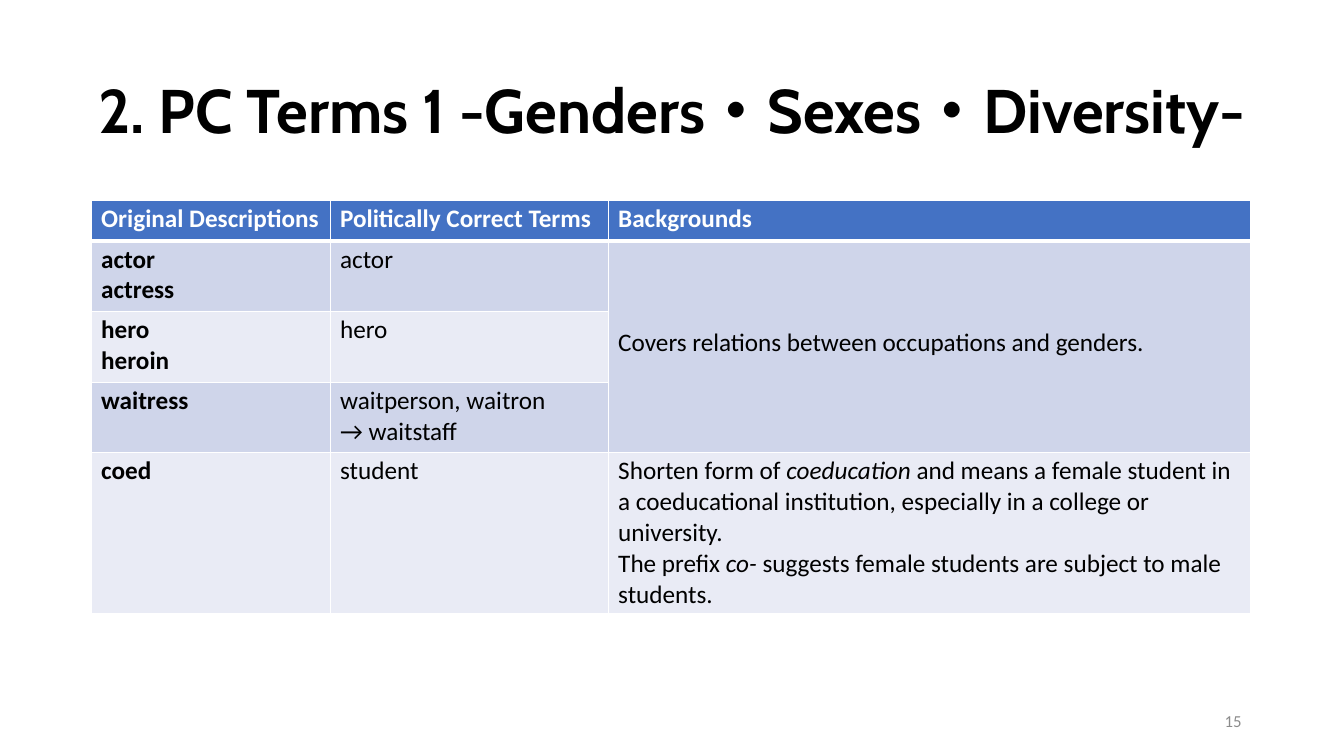
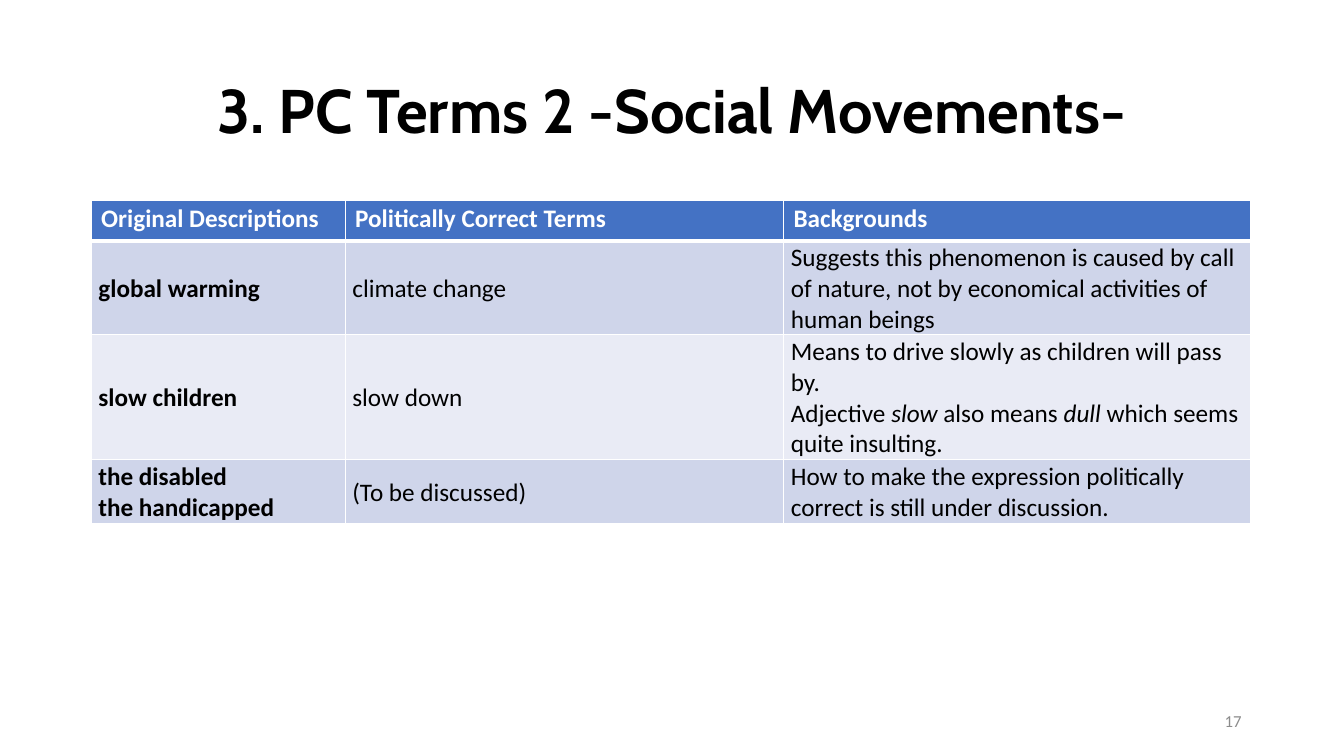
from lxml import etree
from pptx import Presentation
from pptx.dml.color import RGBColor
from pptx.enum.text import MSO_ANCHOR, PP_ALIGN
from pptx.oxml.ns import qn
from pptx.util import Cm, Pt

TOP, MIDDLE = MSO_ANCHOR.TOP, MSO_ANCHOR.MIDDLE
CENTER, LEFT, RIGHT = PP_ALIGN.CENTER, PP_ALIGN.LEFT, PP_ALIGN.RIGHT

COLORS = {
    "title": "000000",
    "number": "8C8C8C",
    "header": "4472C4",
    "header_text": "FFFFFF",
    "text": "000000",
    "band_dark": "CFD5EA",
    "band_light": "E9EBF5",
    "border": "FFFFFF",
}
TITLE_FONT, BODY_FONT = "Cabin", "Calibri"
TABLE_LEFT, TABLE_TOP = 2.3, 5.05
HEADER_HEIGHT = 1.02
HEADERS = ["Original Descriptions", "Politically Correct Terms", "Backgrounds"]

SLIDES = [
    {
        "title": "2. PC Terms 1 -Genders・Sexes・Diversity-",
        "number": "15",
        "widths": [6.02, 7.01, 16.18],
        "heights": [1.78, 1.78, 1.78, 4.06],
        "anchor": TOP,
        "margins": (0.25, 0.08),
        "rows": [
            ["actor\nactress", "actor", "Covers relations between occupations and genders."],
            ["hero\nheroin", "hero", None],
            ["waitress", "waitperson, waitron\n→ waitstaff", None],
            ["coed", "student",
             "Shorten form of *coeducation* and means a female student in a coeducational "
             "institution, especially in a college or university.\n"
             "The prefix *co-* suggests female students are subject to male students."],
        ],
    },
    {
        "title": "3. PC Terms 2 -Social Movements-",
        "number": "17",
        "widths": [6.4, 11.05, 11.76],
        "heights": [2.36, 3.15, 1.62],
        "anchor": MIDDLE,
        "margins": (0.18, 0.05),
        "rows": [
            ["global warming", "climate change",
             "Suggests this phenomenon is caused by call of nature, not by economical "
             "activities of human beings"],
            ["slow children", "slow down",
             "Means to drive slowly as children will pass by.\n"
             "Adjective *slow* also means *dull* which seems quite insulting."],
            ["the disabled\nthe handicapped", "(To be discussed)",
             "How to make the expression politically correct is still under discussion."],
        ],
    },
]


def color(name):
    return RGBColor.from_string(COLORS[name])


def write(text_frame, text, font, size, color_name, bold=False, align=LEFT):
    for index, line in enumerate(text.split("\n")):
        paragraph = text_frame.paragraphs[0] if index == 0 else text_frame.add_paragraph()
        paragraph.alignment = align
        for part, words in enumerate(line.split("*")):
            if words:
                run = paragraph.add_run()
                run.text = words
                run.font.name = font
                run.font.size = Pt(size)
                run.font.bold = bold
                run.font.italic = part % 2 == 1
                run.font.color.rgb = color(color_name)


def add_label(slide, place, text, *style):
    text_frame = slide.shapes.add_textbox(*(Cm(length) for length in place)).text_frame
    text_frame.word_wrap = True
    text_frame.vertical_anchor = MIDDLE
    write(text_frame, text, *style)
    return text_frame


def set_borders(cell, top, bottom):
    properties = cell._tc.get_or_add_tcPr()
    for side, points in (("L", 1), ("R", 1), ("T", top), ("B", bottom)):
        line = etree.SubElement(properties, qn("a:ln" + side), w=str(Pt(points)))
        fill = etree.SubElement(line, qn("a:solidFill"))
        etree.SubElement(fill, qn("a:srgbClr"), val=COLORS["border"])


def style_cell(cell, fill_name, anchor, side, top):
    cell.fill.solid()
    cell.fill.fore_color.rgb = color(fill_name)
    cell.vertical_anchor = anchor
    cell.margin_left, cell.margin_right = Cm(side), Cm(side)
    cell.margin_top, cell.margin_bottom = Cm(top), Cm(0)


def add_term_table(slide, content):
    rows = [HEADERS] + content["rows"]
    widths, heights = content["widths"], [HEADER_HEIGHT] + content["heights"]
    table = slide.shapes.add_table(
        len(rows), len(widths), Cm(TABLE_LEFT), Cm(TABLE_TOP),
        Cm(sum(widths)), Cm(sum(heights))).table
    for column, width in zip(table.columns, widths):
        column.width = Cm(width)
    for row, height in zip(table.rows, heights):
        row.height = Cm(height)

    merges = {}
    for row_index, row in enumerate(rows):
        is_header = row_index == 0
        band = "band_dark" if row_index % 2 else "band_light"
        for column_index, text in enumerate(row):
            cell = table.cell(row_index, column_index)
            set_borders(cell, 3 if row_index == 1 else 1, 3 if is_header else 1)
            if is_header:
                style_cell(cell, "header", TOP, 0.25, 0.08)
                cell.margin_right = Cm(0.1)
            else:
                style_cell(cell, band, content["anchor"], *content["margins"])
            if text is None:
                merges[column_index] = row_index
            else:
                write(cell.text_frame, text, BODY_FONT, 18,
                      "header_text" if is_header else "text",
                      is_header or column_index == 0)

    for column_index, last_row in merges.items():
        first_row = next(index for index, row in enumerate(rows)
                         if row[column_index] is None) - 1
        merged = table.cell(first_row, column_index)
        merged.merge(table.cell(last_row, column_index))
        merged.vertical_anchor = MIDDLE
        merged.margin_bottom = Cm(0.3)


def main():
    presentation = Presentation()
    presentation.slide_width, presentation.slide_height = Cm(33.87), Cm(19.05)
    for content in SLIDES:
        slide = presentation.slides.add_slide(presentation.slide_layouts[6])
        title = add_label(slide, (2.33, 1.01, 29.21, 3.68), content["title"],
                          TITLE_FONT, 44, "title", True, CENTER)
        title.margin_left = title.margin_right = Cm(0)
        title.paragraphs[0].line_spacing = 0.9
        add_label(slide, (23.92, 17.66, 7.62, 1.01), content["number"],
                  BODY_FONT, 12, "number", False, RIGHT)
        add_term_table(slide, content)
    presentation.save("out.pptx")


if __name__ == "__main__":
    main()
